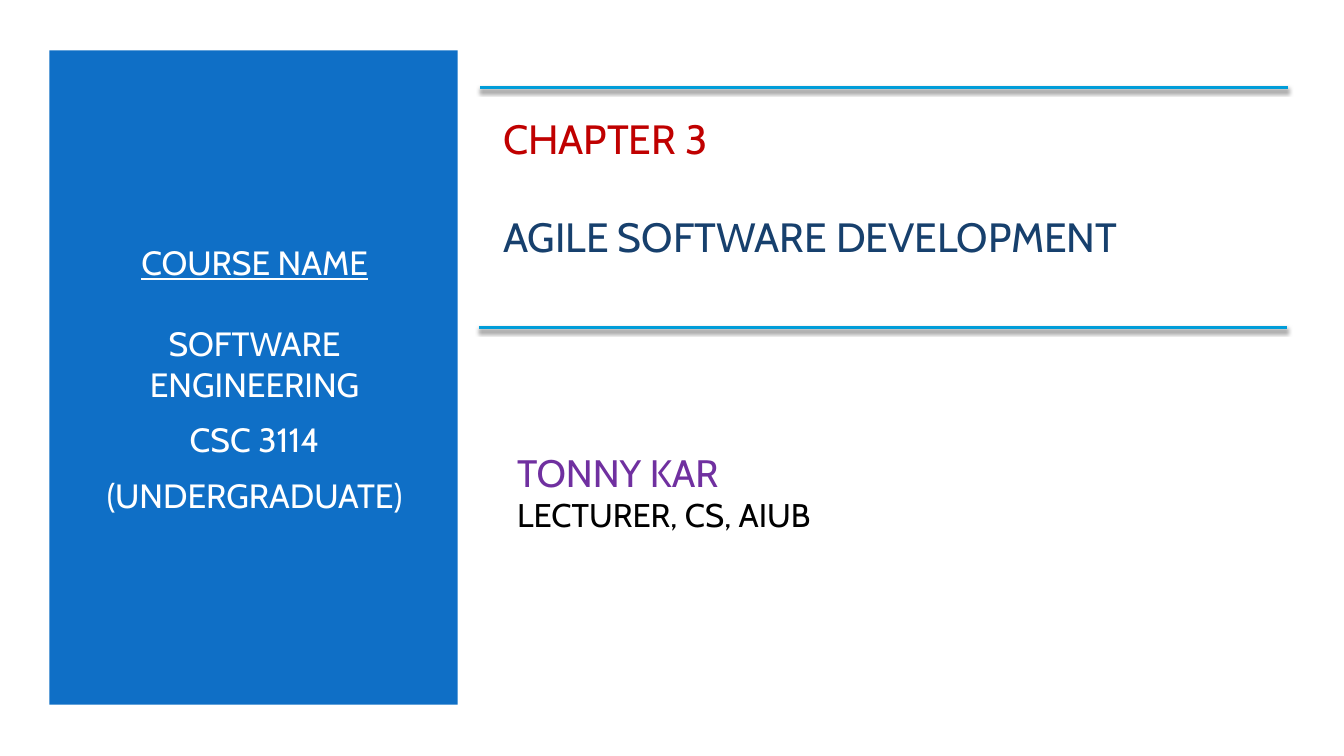
from lxml import etree
from pptx import Presentation
from pptx import util as u
from pptx.dml.color import RGBColor
from pptx.enum import shapes, text
from pptx.oxml.ns import nsdecls

SHADOW = (
    f'<a:effectLst {nsdecls("a")}>'
    '<a:outerShdw blurRad="38100" dist="25400" dir="5400000" rotWithShape="0">'
    '<a:srgbClr val="000000"><a:alpha val="55000"/></a:srgbClr>'
    '</a:outerShdw></a:effectLst>'
)


def color(value):
    return RGBColor.from_string(value)


def apply(target, formats):
    for name, value in formats.items():
        setattr(target, name, value)


class CoverSlide:
    """Hold the cover style and the slide, and draw each kind of element."""

    font = "Cabin"
    panel_fill = "0F6FC6"
    rule_color = "009DD9"

    def __init__(self, deck):
        self.slide = deck.slides.add_slide(deck.slide_layouts[0])
        self.slide.background.fill.solid()
        self.slide.background.fill.fore_color.rgb = color("FFFFFF")

    def panel(self, left, top, width, height):
        panel = self.slide.shapes.add_shape(
            shapes.MSO_SHAPE.RECTANGLE, *map(u.Inches, (left, top, width, height)))
        panel.shadow.inherit = False
        panel.fill.solid()
        panel.fill.fore_color.rgb = color(self.panel_fill)
        panel.line.fill.background()

    def rule(self, left, top, width):
        rule = self.slide.shapes.add_connector(
            shapes.MSO_CONNECTOR.STRAIGHT,
            *map(u.Inches, (left, top, left + width, top)))
        rule.line.color.rgb = color(self.rule_color)
        rule.line.width = u.Pt(2)
        rule._element.spPr.append(etree.fromstring(SHADOW))

    def textbox(self):
        return self.slide.shapes.add_textbox(0, 0, 0, 0)

    def fill_text(self, holder, box, lines, align):
        places = zip(("left", "top", "width", "height"), map(u.Inches, box))
        apply(holder, dict(places))
        frame = holder.text_frame
        apply(frame, {
            "word_wrap": True,
            "auto_size": text.MSO_AUTO_SIZE.NONE,
            "vertical_anchor": text.MSO_ANCHOR.MIDDLE,
        })
        for index, (words, size, ink, before, after, underline) in enumerate(lines):
            paragraph = frame.add_paragraph() if index else frame.paragraphs[0]
            apply(paragraph, {
                "alignment": align,
                "space_before": u.Pt(before),
                "space_after": u.Pt(after),
            })
            run = paragraph.add_run()
            run.text = words
            apply(run.font, {
                "name": self.font, "size": u.Pt(size), "underline": underline})
            run.font.color.rgb = color(ink)


def main():
    deck = Presentation()
    apply(deck, {"slide_width": u.Inches(13.33), "slide_height": u.Inches(7.5)})
    cover = CoverSlide(deck)
    title, lecturer = cover.slide.placeholders
    left, center = text.PP_ALIGN.LEFT, text.PP_ALIGN.CENTER

    cover.panel(0.49, 0.5, 4.05, 6.49)
    cover.fill_text(cover.textbox(), (0.84, 1.13, 3.37, 5.25), [
        ("COURSE NAME", 24, "FFFFFF", 0, 0, True),
        ("SOFTWARE ENGINEERING", 24, "FFFFFF", 29, 6, False),
        ("CSC 3114", 24, "FFFFFF", 4.8, 6, False),
        ("(UNDERGRADUATE)", 24, "FFFFFF", 4.8, 6, False),
    ], center)
    cover.fill_text(title, (4.89, 1.1, 7.85, 1.51), [
        ("CHAPTER 3", 29.2, "C00000", 0, 0, False),
        ("AGILE SOFTWARE DEVELOPMENT", 29.2, "17406D", 35, 0, False),
    ], left)
    cover.fill_text(lecturer, (5.03, 4.1, 6.66, 1.56), [
        ("TONNY KAR", 27.3, "7030A0", 0, 0, False),
        ("LECTURER, CS, AIUB", 23.4, "000000", 0, 0, False),
    ], left)
    for start, top in ((4.76, 0.87), (4.75, 3.25)):
        cover.rule(start, top, 8.01)

    deck.save("out.pptx")


if __name__ == "__main__":
    main()
